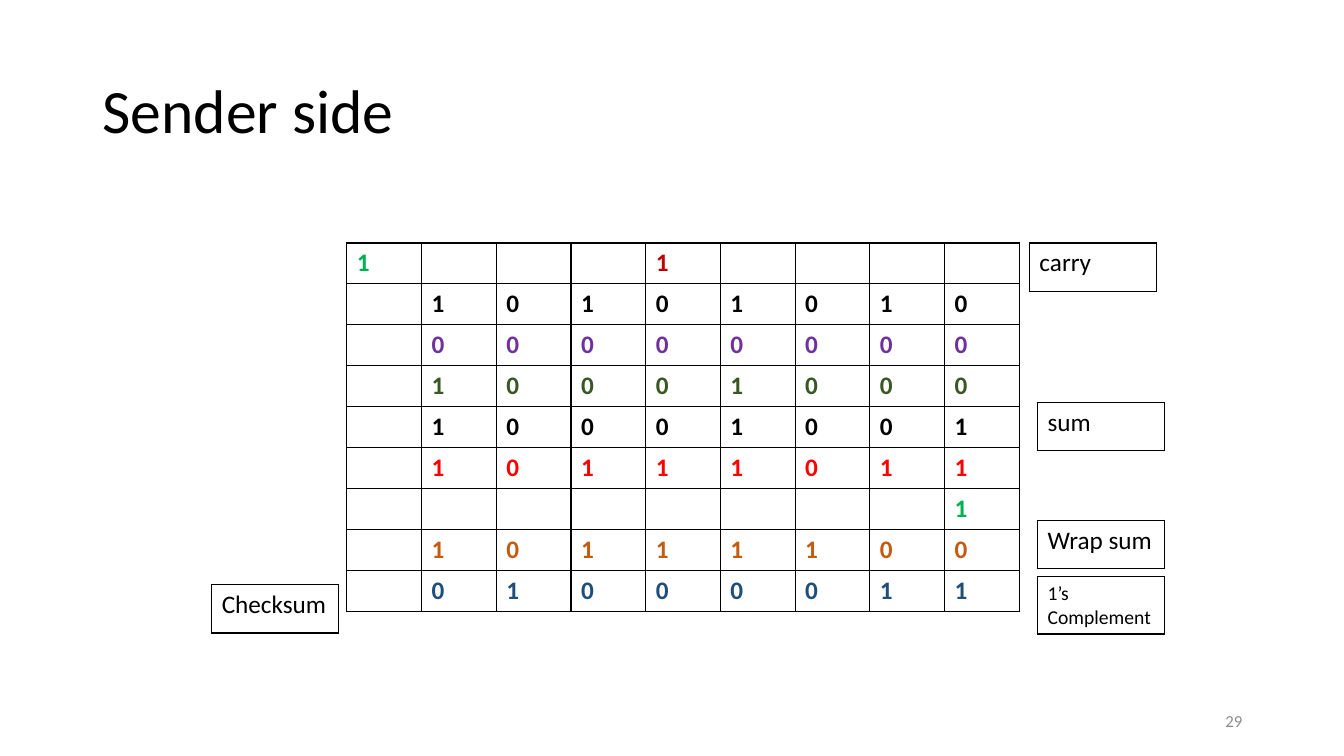
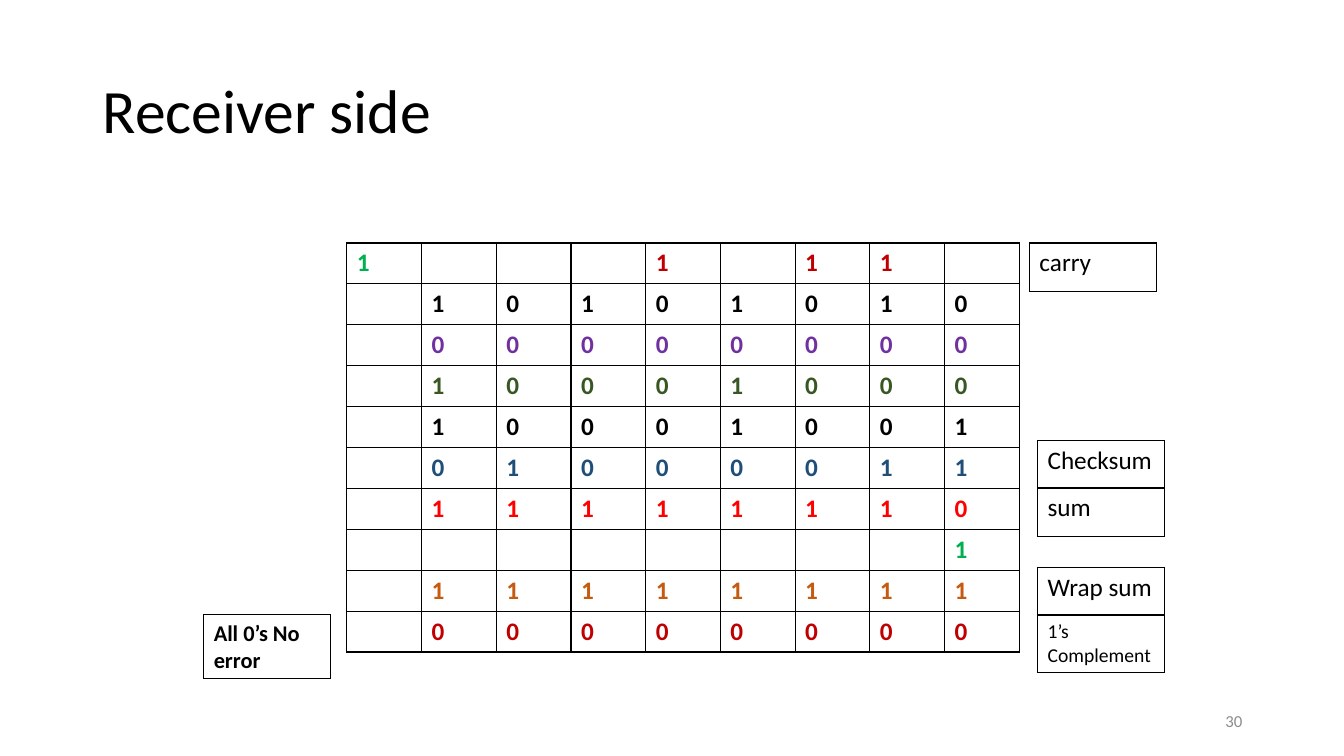
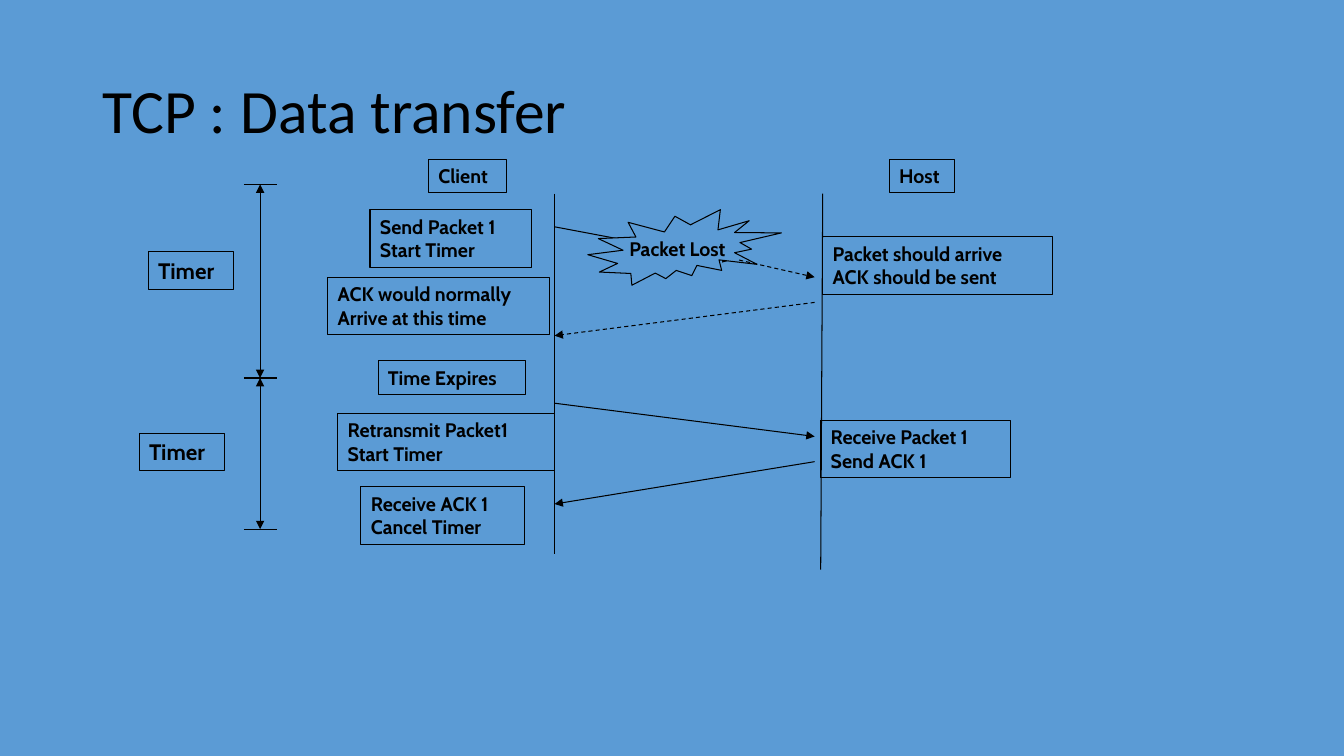
from lxml.etree import SubElement
from pptx import Presentation
from pptx.dml.color import RGBColor
from pptx.enum.dml import MSO_LINE
from pptx.enum.shapes import MSO_CONNECTOR, MSO_SHAPE
from pptx.enum.text import MSO_ANCHOR, PP_ALIGN
from pptx.oxml.ns import qn
from pptx.util import Inches, Pt

BLACK = RGBColor(0x00, 0x00, 0x00)
WHITE = RGBColor(0xFF, 0xFF, 0xFF)
GREY = RGBColor(0x8C, 0x8C, 0x8C)
BLUE = RGBColor(0x5B, 0x9B, 0xD5)
NAVY = RGBColor(0x1F, 0x4E, 0x79)
GREEN = RGBColor(0x00, 0xB0, 0x50)
OLIVE = RGBColor(0x38, 0x57, 0x23)
PURPLE = RGBColor(0x70, 0x30, 0xA0)
RED = RGBColor(0xFF, 0x00, 0x00)
WINE = RGBColor(0xC0, 0x00, 0x00)
ORANGE = RGBColor(0xC5, 0x5A, 0x11)


def write(frame, text, size=18, font="Calibri", color=BLACK, bold=False,
          align=PP_ALIGN.LEFT, space=None):
    """Fill a text frame, one paragraph for each line of the text."""
    for num, line in enumerate(text.split("\n")):
        para = frame.paragraphs[0] if num == 0 else frame.add_paragraph()
        para.alignment = align
        para.line_spacing = space
        run = para.add_run()
        run.text = line
        run.font.size = Pt(size)
        run.font.name = font
        run.font.bold = bold
        run.font.color.rgb = color


def edge(cell):
    """Draw a black line on all four sides of a table cell."""
    props = cell._tc.get_or_add_tcPr()
    for num, side in enumerate(("lnL", "lnR", "lnT", "lnB")):
        line = props.makeelement(qn("a:" + side), {"w": str(Pt(1))})
        fill = SubElement(line, qn("a:solidFill"))
        SubElement(fill, qn("a:srgbClr"), val=str(BLACK))
        props.insert(num, line)


class Deck:
    def __init__(self):
        self.show = Presentation()
        self.show.slide_width = Inches(13.33)
        self.show.slide_height = Inches(7.5)
        self.slide = None

    def page(self, title, back=WHITE, number=None):
        self.slide = self.show.slides.add_slide(self.show.slide_layouts[6])
        self.slide.background.fill.solid()
        self.slide.background.fill.fore_color.rgb = back
        self.text(title, 0.92, 0.4, 11.5, 1.45, size=44, space=0.9)
        if number:
            self.text(number, 9.42, 6.95, 3, 0.4, size=12, color=GREY,
                      align=PP_ALIGN.RIGHT)

    def text(self, text, left, top, width, height, **style):
        box = self.slide.shapes.add_textbox(
            Inches(left), Inches(top), Inches(width), Inches(height))
        frame = box.text_frame
        frame.word_wrap = True
        frame.vertical_anchor = MSO_ANCHOR.MIDDLE
        write(frame, text, **style)

    def table(self, left, top, width, height, rows, size=18, bold=False):
        """Draw rows given as pairs of cell texts and their colours."""
        table = self.slide.shapes.add_table(
            len(rows), len(rows[0]), Inches(left), Inches(top),
            Inches(width), Inches(height)).table
        table.first_row = table.horz_banding = False
        for y, row in enumerate(rows):
            for x, (text, color) in enumerate(row):
                cell = table.cell(y, x)
                cell.fill.background()
                edge(cell)
                if text:
                    write(cell.text_frame, text, size=size, color=color,
                          bold=bold)

    def bits(self, rows):
        """Draw the binary sum; short rows are set flush right."""
        grid = [[(bit.strip(), color) for bit in bits.rjust(9)]
                for bits, color in rows]
        # The carry out of the first column is green
        grid[0][0] = ("1", GREEN)
        self.table(3.44, 2.41, 6.67, 0.406 * len(rows), grid, bold=True)

    def tag(self, text, left, top, height=0.48, **style):
        self.table(left, top, 1.26, height, [[(text, BLACK)]], **style)

    def shape(self, kind, text, left, top, width, height, size=14,
              fill=None, wrap=True, anchor=MSO_ANCHOR.TOP, **style):
        shape = self.slide.shapes.add_shape(
            kind, Inches(left), Inches(top), Inches(width), Inches(height))
        shape.shadow.inherit = False
        if fill:
            shape.fill.solid()
            shape.fill.fore_color.rgb = fill
        else:
            shape.fill.background()
        shape.line.color.rgb = BLACK
        shape.line.width = Pt(0.75)
        shape.text_frame.word_wrap = wrap
        shape.text_frame.vertical_anchor = anchor
        write(shape.text_frame, text, size=size, font="Cabin", bold=True,
              **style)

    def line(self, x1, y1, x2, y2, head=False, tail=False, dash=False):
        link = self.slide.shapes.add_connector(
            MSO_CONNECTOR.STRAIGHT, Inches(x1), Inches(y1), Inches(x2),
            Inches(y2))
        link.line.color.rgb = BLACK
        link.line.width = Pt(0.75)
        if dash:
            link.line.dash_style = MSO_LINE.DASH
        props = link.line._get_or_add_ln()
        for end, used in (("a:headEnd", head), ("a:tailEnd", tail)):
            if used:
                SubElement(props, qn(end), type="triangle")
        SubElement(link._element.spPr, qn("a:effectLst"))


WORDS = [("10101010", BLACK), ("00000000", PURPLE), ("10001000", OLIVE),
         ("10001001", BLACK)]


def sender(deck):
    deck.page("Sender side", number="29")
    deck.bits([("1   1    ", WINE), *WORDS, ("10111011", RED), ("1", GREEN),
               ("10111100", ORANGE), ("01000011", NAVY)])
    deck.tag("carry", 10.21, 2.41)
    deck.tag("sum", 10.29, 3.99)
    deck.tag("Wrap sum", 10.29, 5.16)
    deck.tag("1’s Complement", 10.29, 5.72, 0.57, size=14)
    deck.tag("Checksum", 2.1, 5.8)


def receiver(deck):
    deck.page("Receiver side", number="30")
    deck.bits([("1   1 11 ", WINE), *WORDS, ("01000011", NAVY),
               ("11111110", RED), ("1", GREEN), ("11111111", ORANGE),
               ("00000000", WINE)])
    deck.tag("carry", 10.21, 2.41)
    deck.tag("Checksum", 10.29, 4.37)
    deck.tag("sum", 10.29, 4.84)
    deck.tag("Wrap sum", 10.29, 5.63)
    deck.tag("1’s Complement", 10.29, 6.1, 0.57, size=14)
    deck.tag("All 0’s No error", 2.02, 6.1, 0.63, size=16, bold=True)


def transfer(deck):
    deck.page("TCP : Data transfer", back=BLUE)
    deck.line(5.5, 1.92, 5.5, 5.5)
    deck.line(8.16, 1.92, 8.14, 5.65)

    for text, left, top, width in (
            ("Client", 4.25, 1.58, 0.77),
            ("Host", 8.82, 1.58, 0.65),
            ("Send Packet 1\nStart Timer", 3.67, 2.08, 1.6),
            ("ACK would normally\nArrive at this time", 3.25, 2.75, 2.2),
            ("Time Expires", 3.75, 3.58, 1.46),
            ("Retransmit Packet1\nStart Timer", 3.35, 4.1, 2.15),
            ("Receive ACK 1\nCancel Timer", 3.58, 4.83, 1.62),
            ("Packet should arrive\nACK should be sent", 8.16, 2.35, 2.28),
            ("Receive Packet 1\nSend ACK 1", 8.14, 4.17, 1.88)):
        height = 0.57 if "\n" in text else 0.33
        deck.shape(MSO_SHAPE.RECTANGLE, text, left, top, width, height)

    deck.line(5.5, 2.25, 7.25, 2.58, tail=True)
    deck.line(8.08, 3, 5.5, 3.33, tail=True, dash=True)
    deck.line(5.5, 4, 8.08, 4.33, tail=True)
    deck.line(8.08, 4.58, 5.5, 5, tail=True)
    deck.shape(MSO_SHAPE.EXPLOSION2, "Packet Lost", 5.83, 2.08, 1.92, 0.75,
               fill=BLUE, wrap=False, anchor=MSO_ANCHOR.MIDDLE,
               align=PP_ALIGN.CENTER)
    deck.line(7.33, 2.58, 8.08, 2.75, tail=True, dash=True)

    ticks = (1.83, 3.75, 5.25)
    for tick in ticks:
        deck.line(2.42, tick, 2.75, tick)
    for start, stop in zip(ticks, ticks[1:]):
        deck.line(2.58, start, 2.58, stop, head=True, tail=True)
    for left, top in ((1.47, 2.5), (1.38, 4.3)):
        deck.shape(MSO_SHAPE.RECTANGLE, "Timer", left, top, 0.85, 0.37,
                   size=16)


def main():
    deck = Deck()
    sender(deck)
    receiver(deck)
    transfer(deck)
    deck.show.save("out.pptx")


if __name__ == "__main__":
    main()
